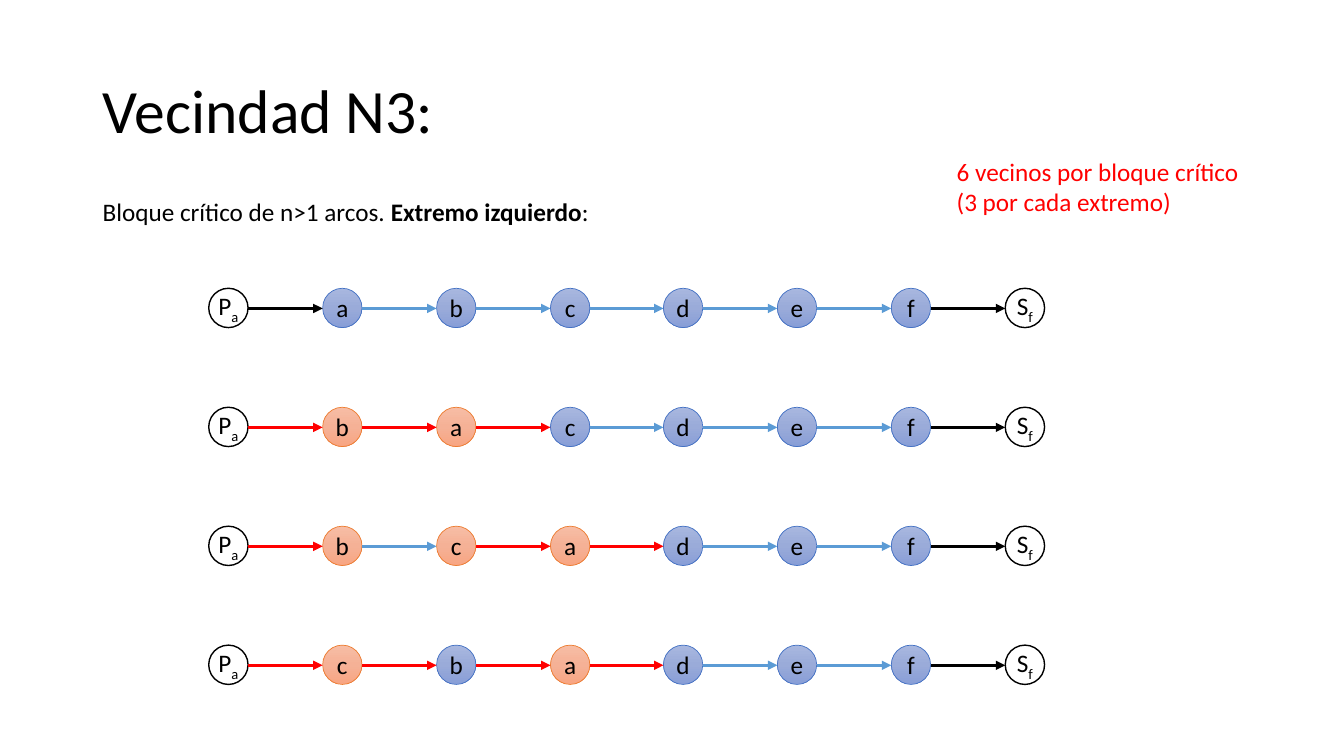
from copy import deepcopy
from dataclasses import dataclass

from pptx import Presentation
from pptx.dml.color import RGBColor as RGB
from pptx.enum.shapes import MSO_CONNECTOR as Link, MSO_SHAPE as Kind
from pptx.enum.text import MSO_ANCHOR as Anchor, MSO_AUTO_SIZE as Fit, PP_ALIGN as Align
from pptx.oxml.ns import qn
from pptx.oxml.xmlchemy import OxmlElement as Element
from pptx.shapes.autoshape import Shape
from pptx.slide import Slide
from pptx.text.text import _Paragraph as Para
from pptx.util import Emu, Pt

PX = 9144  # 100 px to the inch
BLACK = RGB(0x00, 0x00, 0x00)
WHITE = RGB(0xFF, 0xFF, 0xFF)
RED = RGB(0xFF, 0x00, 0x00)
SKY = RGB(0x5B, 0x9B, 0xD5)
BLUE = RGB(0x44, 0x72, 0xC4)
ORANGE = RGB(0xED, 0x7D, 0x31)
BLUES = (RGB(0xA8, 0xB7, 0xDF), RGB(0x9A, 0xAB, 0xD9), RGB(0x88, 0x9E, 0xD7))
ORANGES = (RGB(0xF7, 0xBD, 0xA5), RGB(0xF5, 0xB1, 0x96), RGB(0xF8, 0xA5, 0x82))

LEFT, TOP = 207, 286
SPAN, ROW = 790, 118  # first to last node, row to row
SIZE = 39


@dataclass(frozen=True)
class Look:
    fills: tuple[RGB, ...]
    edge: RGB
    width: float


@dataclass(frozen=True)
class Chain:
    order: str
    moved: str  # nodes shown in orange
    arcs: str  # one colour key per arrow


END = Look((WHITE,), BLACK, 1)
KEPT = Look(BLUES, BLUE, 0.5)
MOVED = Look(ORANGES, ORANGE, 0.5)
ARCS = {"k": BLACK, "b": SKY, "r": RED}
CHAINS = (
    Chain("abcdef", "", "kbbbbbk"),
    Chain("bacdef", "ba", "rrrbbbk"),
    Chain("bcadef", "bca", "rbrrbbk"),
    Chain("cbadef", "ca", "rrrrbbk"),
)


def px(value: int) -> Emu:
    return Emu(value * PX)


def add_run(para: Para, text: str, color: RGB = BLACK, size: int = 18,
            bold: bool = False, sub: bool = False) -> None:
    run = para.add_run()
    run.text = text
    font = run.font
    font.name, font.size, font.bold = "Calibri", Pt(size), bold
    font.color.rgb = color
    if sub:
        font._element.set("baseline", "-25000")


def paint(shape: Shape, look: Look) -> None:
    fill = shape.fill
    if len(look.fills) == 1:
        fill.solid()
        fill.fore_color.rgb = look.fills[0]
    else:
        fill.gradient()
        fill.gradient_angle = 270
        stops = shape.element.spPr.find(".//" + qn("a:gsLst"))
        stops.append(deepcopy(stops[0]))
        for i, (stop, color) in enumerate(zip(fill.gradient_stops, look.fills)):
            stop.position = i / 2
            stop.color.rgb = color
    shape.line.color.rgb = look.edge
    shape.line.width = Pt(look.width)


def add_node(slide: Slide, x: int, y: int, name: str, look: Look) -> None:
    """Draw a circle; letters after the first are subscript."""
    node = slide.shapes.add_shape(Kind.OVAL, px(x), px(y), px(SIZE), px(SIZE))
    node.shadow.inherit = False
    paint(node, look)
    frame = node.text_frame
    frame.margin_left = frame.margin_right = frame.margin_top = frame.margin_bottom = 0
    frame.vertical_anchor = Anchor.MIDDLE
    para = frame.paragraphs[0]
    para.alignment = Align.CENTER
    for i, char in enumerate(name):
        add_run(para, char, sub=i > 0)


def add_arc(slide: Slide, start: int, end: int, y: int, color: RGB) -> None:
    arc = slide.shapes.add_connector(Link.STRAIGHT, px(start), px(y), px(end), px(y))
    arc.line.color.rgb = color
    arc.line.width = Pt(2.25)
    head = Element("a:tailEnd")
    head.set("type", "triangle")
    arc.line._get_or_add_ln().append(head)
    arc._element.spPr.append(Element("a:effectLst"))


def add_chain(slide: Slide, chain: Chain, y: int) -> None:
    names = ["Pa", *chain.order, "Sf"]
    lefts = [LEFT + round(i * SPAN / (len(names) - 1)) for i in range(len(names))]
    for name, x in zip(names, lefts):
        look = END if len(name) > 1 else MOVED if name in chain.moved else KEPT
        add_node(slide, x, y, name, look)
    for key, x, end in zip(chain.arcs, lefts, lefts[1:]):
        add_arc(slide, x + SIZE, end, y + SIZE // 2 + 1, ARCS[key])


def add_box(slide: Slide, x: int, y: int, w: int, h: int, wrap: bool) -> Para:
    frame = slide.shapes.add_textbox(px(x), px(y), px(w), px(h)).text_frame
    frame.word_wrap = wrap
    frame.auto_size = Fit.SHAPE_TO_FIT_TEXT
    return frame.paragraphs[0]


def add_title(slide: Slide, text: str) -> None:
    title = slide.shapes.title
    title.left, title.top, title.width, title.height = px(92), px(40), px(1150), px(145)
    frame = title.text_frame
    frame.auto_size = Fit.NONE
    frame.vertical_anchor = Anchor.MIDDLE
    para = frame.paragraphs[0]
    para.alignment = Align.LEFT
    para.line_spacing = 0.9
    add_run(para, text, size=44)


def main() -> None:
    deck = Presentation()
    deck.slide_width, deck.slide_height = px(1333), px(750)
    slide = deck.slides.add_slide(deck.slide_layouts.get_by_name("Title Only"))
    add_title(slide, "Vecindad N3:")
    lead = add_box(slide, 92, 190, 504, 40, wrap=False)
    add_run(lead, "Bloque crítico de n>1 arcos. ")
    add_run(lead, "Extremo izquierdo", bold=True)
    add_run(lead, ":")
    for i, chain in enumerate(CHAINS):
        add_chain(slide, chain, TOP + i * ROW)
    note = add_box(slide, 939, 150, 303, 71, wrap=True)
    add_run(note, "6 vecinos por bloque crítico (3 por cada extremo)", RED)
    deck.save("out.pptx")


if __name__ == "__main__":
    main()
